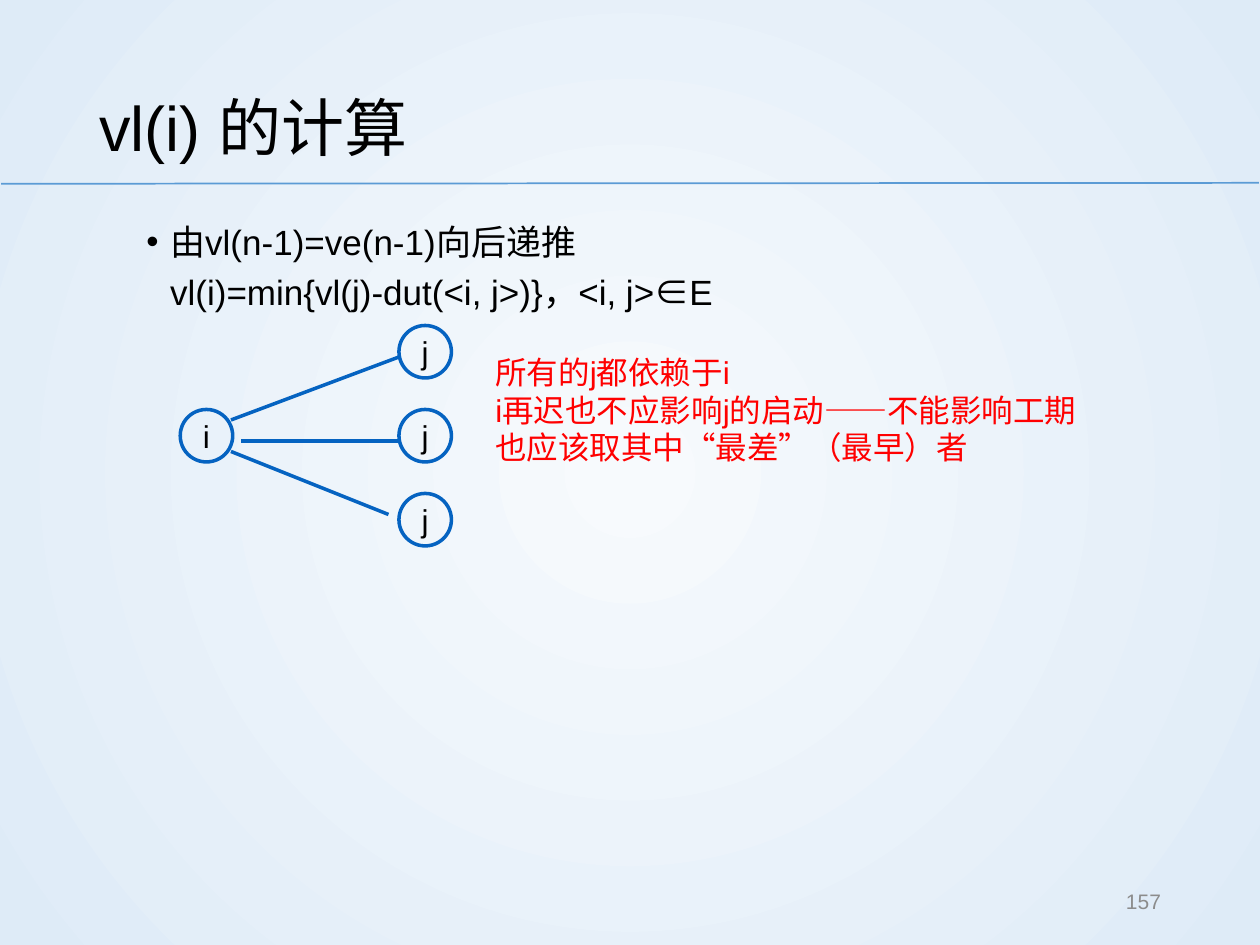
from lxml.etree import SubElement
from pptx import Presentation
from pptx.dml.color import RGBColor
from pptx.enum.shapes import MSO_CONNECTOR, MSO_SHAPE
from pptx.enum.text import MSO_ANCHOR, MSO_AUTO_SIZE, PP_ALIGN
from pptx.oxml.ns import qn
from pptx.util import Pt

BLACK = RGBColor(0x00, 0x00, 0x00)
RED = RGBColor(0xFF, 0x00, 0x00)
GRAY = RGBColor(0x8C, 0x8C, 0x8C)
GRAPH_BLUE = RGBColor(0x05, 0x63, 0xC1)
RULE_BLUE = RGBColor(0x5B, 0x9B, 0xD5)
BACKDROP = (RGBColor(0xF7, 0xFA, 0xFD), RGBColor(0xDE, 0xEB, 0xF7))
LATIN, CHINESE = "Arial", "Noto Sans CJK SC"

# Content: runs are (text, font)
TITLE = [("vl(i) 的计算", LATIN)]
RECURRENCE = [
    ("由vl(n-1)=ve(n-1)向后递推\nvl(i)=min{vl(j)-dut(<i, j>)}，<i, j>", LATIN),
    ("∈", CHINESE),
    ("E", LATIN),
]
REMARK = [("所有的j都依赖于i\ni再迟也不应影响j的启动——不能影响工期\n"
           "也应该取其中“最差”（最早）者", LATIN)]
PAGE_NUMBER = [("157", LATIN)]

# Graph geometry in points
NODE = 30
SOURCE_LEFT, TARGET_LEFT = 103, 228
ROW_TOPS = (186, 234, 282)
NODES = [("i", SOURCE_LEFT, ROW_TOPS[1])] + [("j", TARGET_LEFT, top) for top in ROW_TOPS]
EDGES = [(132, 240, 228, 204), (138, 252, 228, 252), (132, 258, 222, 294)]


def write(frame, runs, size, color=BLACK, align=PP_ALIGN.LEFT,
          anchor=MSO_ANCHOR.TOP, spacing=1.0, wrap=True):
    frame.auto_size = MSO_AUTO_SIZE.NONE
    frame.word_wrap = wrap
    frame.vertical_anchor = anchor
    paragraph = frame.paragraphs[0]
    paragraph.alignment = align
    paragraph.line_spacing = spacing
    paragraph.space_before = Pt(0)
    for text, font in runs:
        for number, line in enumerate(text.split("\n")):
            if number:
                paragraph.add_line_break()
                SubElement(paragraph._p[-1], qn("a:rPr"), sz=str(size * 100))
            run = paragraph.add_run()
            run.text = line
            run.font.name = font
            run.font.size = Pt(size)
            run.font.color.rgb = color
            SubElement(run._r.rPr, qn("a:ea"), typeface=CHINESE)
    return paragraph


def place(shape, left, top, width, height):
    shape.left, shape.top = Pt(left), Pt(top)
    shape.width, shape.height = Pt(width), Pt(height)


def draw_line(shapes, ends, color, width):
    line = shapes.add_connector(MSO_CONNECTOR.STRAIGHT, *map(Pt, ends))
    line.line.color.rgb = color
    line.line.width = Pt(width)
    SubElement(line._element.spPr, qn("a:effectLst"))


deck = Presentation()
deck.slide_width, deck.slide_height = Pt(720), Pt(540)
slide = deck.slides.add_slide(deck.slide_layouts[1])
shapes = slide.shapes

# Radial background
backdrop = slide.background.fill
backdrop.gradient()
for stop, color, position in zip(backdrop.gradient_stops, BACKDROP, (0, 1)):
    stop.color.rgb = color
    stop.position = position
gradient = slide.background._cSld.find(".//" + qn("a:gradFill"))
gradient.remove(gradient.find(qn("a:lin")))
radial = SubElement(gradient, qn("a:path"), {"path": "circle"})
SubElement(radial, qn("a:fillToRect"), {side: "50000" for side in "ltrb"})

# Title and rule below it
draw_line(shapes, (0.7, 105, 719.3, 104.5), RULE_BLUE, 1)
title = shapes.title
place(title, 49.5, 29, 621, 77.5)
write(title.text_frame, TITLE, 36, anchor=MSO_ANCHOR.MIDDLE, spacing=1.2)

# Recurrence
body = slide.placeholders[1]
place(body, 49.5, 117.5, 621, 369.5)
recurrence = write(body.text_frame, RECURRENCE, 20, spacing=1.2)
recurrence.level = 1
properties = recurrence._p.get_or_add_pPr()
properties.set("marL", str(Pt(40.5)))
properties.set("indent", str(Pt(-13.5)))
SubElement(properties, qn("a:buFont"), typeface=LATIN)
SubElement(properties, qn("a:buChar"), char="•")

# Dependency graph
for ends in EDGES:
    draw_line(shapes, ends, GRAPH_BLUE, 2)
for label, left, top in NODES:
    node = shapes.add_shape(MSO_SHAPE.OVAL, Pt(left), Pt(top), Pt(NODE), Pt(NODE))
    node.shadow.inherit = False
    node.fill.background()
    node.line.color.rgb = GRAPH_BLUE
    node.line.width = Pt(2)
    write(node.text_frame, [(label, LATIN)], 18, align=PP_ALIGN.CENTER,
          anchor=MSO_ANCHOR.MIDDLE, wrap=False)

# Remark and page number
remark = shapes.add_textbox(Pt(276), Pt(198), Pt(348), Pt(73))
write(remark.text_frame, REMARK, 18, RED)
page = shapes.add_textbox(Pt(508.5), Pt(500.5), Pt(162), Pt(29))
write(page.text_frame, PAGE_NUMBER, 12, GRAY, align=PP_ALIGN.RIGHT,
      anchor=MSO_ANCHOR.MIDDLE)

deck.save("out.pptx")
